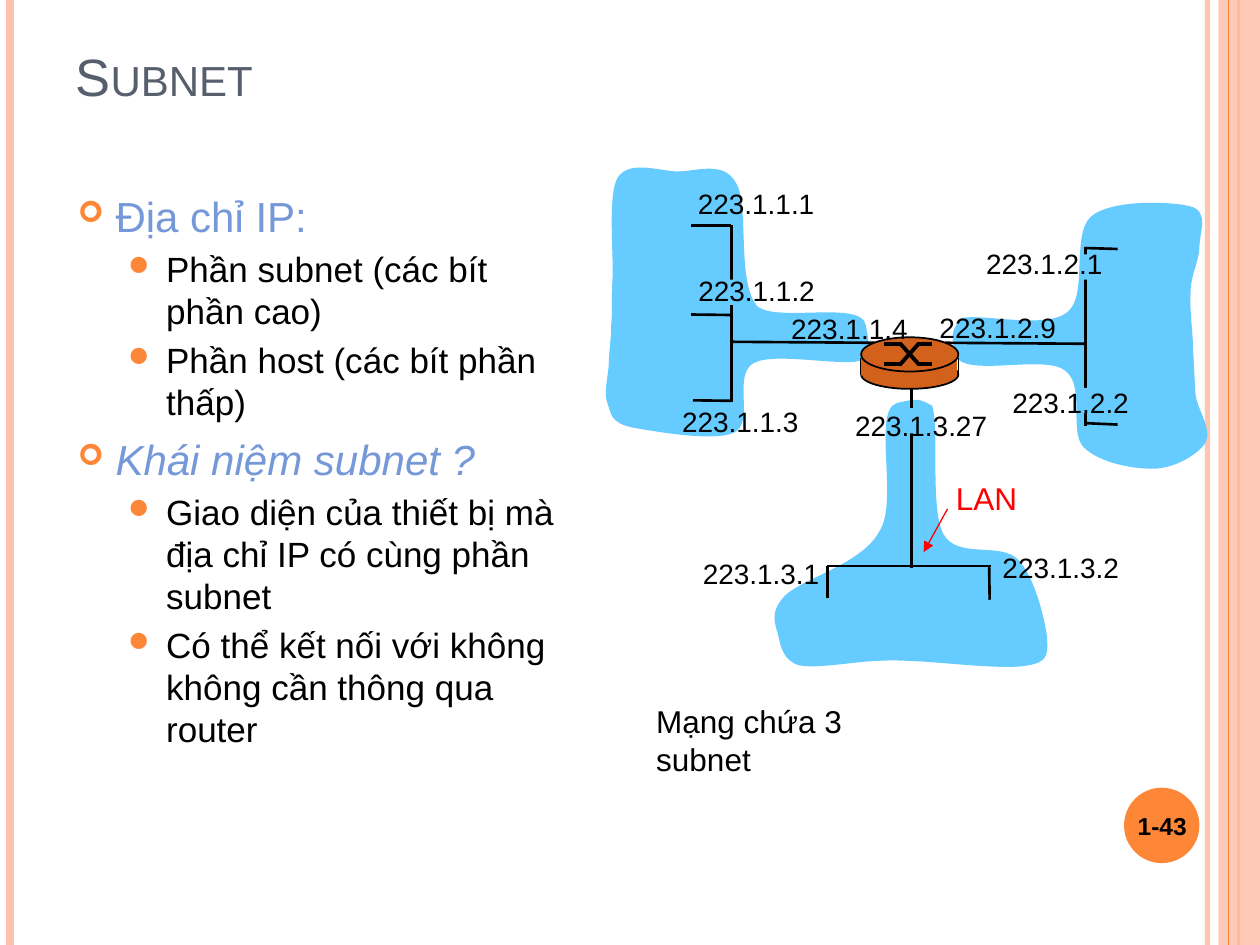
from pptx import Presentation, util as u
from pptx.dml.color import RGBColor
from pptx.enum import shapes as sh, text as tx
from pptx.oxml.ns import qn
from lxml import etree

BLACK = RGBColor(0, 0, 0)
WHITE = RGBColor(0xFF, 0xFF, 0xFF)
RED = RGBColor(0xFF, 0, 0)
SLATE = RGBColor(0x57, 0x5F, 0x6D)
BLUE = RGBColor(0x75, 0x98, 0xD9)
SKY = RGBColor(0x66, 0xCC, 0xFF)
PEACH = RGBColor(0xFE, 0xC2, 0xAC)
ORANGE = RGBColor(0xFE, 0x86, 0x37)
RUST = RGBColor(0xD2, 0x61, 0x1C)
RECT, OVAL = sh.MSO_SHAPE.RECTANGLE, sh.MSO_SHAPE.OVAL
UNIT = u.Cm(2.54) / 100
RING = ("Wingdings", chr(0xF0A2), 70)
DISC = ("Wingdings 2", chr(0xF097), 80)

WEST = [(208, 131), (205, 111, 138, 129, 122, 116), (105, 97, 116, 36, 105, 18),
        (95, 0, 74, 9, 58, 9), (42, 8, 20, 0, 11, 14), (3, 28, 8, 75, 7, 94),
        (6, 114, 7, 119, 6, 130), (6, 142, 4, 153, 4, 163), (3, 174, 0, 185, 3, 193),
        (6, 201, 5, 208, 22, 212), (39, 215, 88, 224, 104, 216),
        (120, 207, 102, 171, 119, 161), (136, 152, 189, 164, 204, 159),
        (210, 150, 212, 151, 208, 131)]
EAST = [(4, 123), (9, 143, 74, 123, 91, 136), (108, 148, 94, 184, 106, 197),
        (119, 210, 148, 215, 164, 214), (180, 213, 198, 202, 203, 193),
        (208, 183, 197, 168, 195, 156), (194, 144, 194, 134, 193, 121),
        (193, 107, 190, 87, 191, 74), (191, 60, 198, 49, 198, 38),
        (198, 27, 206, 10, 191, 6), (177, 2, 128, 0, 112, 14),
        (96, 28, 110, 77, 93, 90), (76, 104, 22, 90, 8, 95), (3, 105, 0, 103, 4, 123)]
SOUTH = [(102, 5), (82, 11, 104, 83, 88, 107), (74, 133, 27, 144, 13, 158),
         (0, 172, 6, 181, 8, 190), (10, 199, 12, 209, 24, 213),
         (36, 216, 64, 211, 80, 210), (96, 209, 99, 209, 120, 210),
         (141, 211, 190, 217, 207, 213), (223, 210, 222, 203, 221, 189),
         (219, 175, 211, 142, 198, 129), (184, 115, 150, 129, 139, 109),
         (128, 89, 136, 25, 130, 7), (121, 3, 122, 0, 102, 5)]


def write(para, words, size=16, color=BLACK, bold=False, slant=False, caps=False):
    run = para.add_run()
    run.text = words
    font = run.font
    font.name, font.size, font.bold, font.italic = "Arial", u.Pt(size), bold, slant
    font.color.rgb = color
    if caps:
        font._element.set("cap", "small")


def label(parts, words, x, y, w=2.87, h=0.94, wrap=False, **form):
    box = parts.add_textbox(u.Cm(x), u.Cm(y), u.Cm(w), u.Cm(h))
    box.text_frame.word_wrap = wrap
    write(box.text_frame.paragraphs[0], words, **form)
    return box.text_frame


def fade(node, part):
    color = next(node.iter(qn("a:srgbClr")))
    etree.SubElement(color, qn("a:alpha")).set("val", str(part * 1000))


def wire(parts, x1, y1, x2, y2, color=BLACK, width=1.5, arrow=False):
    line = parts.add_connector(sh.MSO_CONNECTOR.STRAIGHT,
                               u.Cm(x1), u.Cm(y1), u.Cm(x2), u.Cm(y2))
    line.line.color.rgb, line.line.width = color, u.Pt(width)
    props = line._element.spPr
    if arrow:
        etree.SubElement(props.find(qn("a:ln")), qn("a:tailEnd")).set("type", "triangle")
    etree.SubElement(props, qn("a:effectLst"))
    return line


def paint(shape, fill, edge=None):
    shape.shadow.inherit = False
    shape.fill.solid()
    shape.fill.fore_color.rgb = fill
    if edge is None:
        shape.line.fill.background()
    else:
        shape.line.color.rgb, shape.line.width = edge, u.Pt(1)
    return shape


def block(parts, kind, x, y, w, h, fill, edge=None):
    shape = parts.add_shape(kind, u.Cm(x), u.Cm(y), u.Cm(w), u.Cm(h))
    return paint(shape, fill, edge)


def blob(parts, x, y, curve):
    dots = [arc[i:i + 2] for arc in curve[1:] for i in (0, 2, 4)]
    form = parts.build_freeform(*curve[0], scale=UNIT)
    form.add_line_segments(dots, close=True)
    shape = paint(form.convert_to_shape(u.Cm(x), u.Cm(y)), SKY)
    legs = list(shape._element.iter(qn("a:lnTo")))
    for i in range(0, len(dots), 3):
        bend = etree.Element(qn("a:cubicBezTo"))
        legs[i].addprevious(bend)
        for leg in legs[i:i + 3]:
            bend.append(leg[0])
            leg.getparent().remove(leg)


def net(parts, x, y, curve, wires, masks, names):
    blob(parts, x, y, curve)
    for x1, y1, x2, y2 in wires:
        wire(parts, x + x1, y + y1, x + x2, y + y2)
    for dx, dy, w, fill in masks:
        block(parts, RECT, x + dx, y + dy, w, 0.51, fill)
    for words, dx, dy in names:
        label(parts, words, x + dx, y + dy)


def router(parts, x, y):
    group = parts.add_group_shape().shapes
    block(group, OVAL, x, y + 0.46, 1.96, 0.58, RUST, BLACK)
    for side in (x, x + 1.96):
        wire(group, side, y + 0.41, side, y + 0.76, width=1)
    block(group, RECT, x, y + 0.41, 1.93, 0.36, RUST)
    block(group, OVAL, x, y, 1.96, 0.69, RUST, BLACK)
    for near, far in ((0.14, 0.53), (0.53, 0.14)):
        for x1, y1, x2, y2 in ((0.47, near, 0.82, near), (0.8, near, 1.15, far),
                               (1.13, far, 1.43, far)):
            wire(group, x + x1, y + y1, x + x2, y + y2, width=2.25)
    label(parts, "223.1.1.4", x - 1.66, y - 0.65)
    label(parts, "223.1.3.27", x - 0.37, y + 1.32, w=3.18)


def rails(parts, high):
    fade(wire(parts, 24.34, 0, 24.34, high, PEACH, 3)._element, 93)
    wire(parts, 0.21, 0, 0.21, high, PEACH, 4.5)
    wire(parts, 24.97, 0, 24.97, high, ORANGE, 1.5)
    fade(block(parts, RECT, 24.56, 0, 0.84, high, PEACH)._element, 87)
    wire(parts, 24.77, 0, 24.77, high, ORANGE, 0.75)


def badge(parts, x, y):
    block(parts, OVAL, x, y, 1.52, 1.52, ORANGE)
    frame = label(parts, "1-43", x - 0.08, y + 0.05, w=1.7, h=1.45, size=14, bold=True)
    frame.vertical_anchor = tx.MSO_ANCHOR.MIDDLE
    frame.paragraphs[0].alignment = tx.PP_ALIGN.CENTER


def head(title, x, y, w, h):
    title.left, title.top, title.width, title.height = map(u.Cm, (x, y, w, h))
    frame = title.text_frame
    frame.vertical_anchor = tx.MSO_ANCHOR.TOP
    frame.paragraphs[0].alignment = tx.PP_ALIGN.LEFT
    write(frame.paragraphs[0], "Subnet", size=30, color=SLATE, caps=True)


def bullet(para, mark, left):
    face, sign, scale = mark
    props = para._p.get_or_add_pPr()
    props.set("marL", str(u.Cm(left)))
    props.set("indent", str(-u.Cm(0.76)))
    tint = etree.SubElement(props, qn("a:buClr"))
    etree.SubElement(tint, qn("a:srgbClr")).set("val", str(ORANGE))
    etree.SubElement(props, qn("a:buSzPct")).set("val", str(scale * 1000))
    font = etree.SubElement(props, qn("a:buFont"))
    font.set("typeface", face)
    font.set("charset", "2")
    etree.SubElement(props, qn("a:buChar")).set("char", sign)


def points(parts, x, y, w, h):
    frame = parts.add_textbox(u.Cm(x), u.Cm(y), u.Cm(w), u.Cm(h)).text_frame
    frame.word_wrap = True
    rows = [(0, "Địa chỉ IP:"), (1, "Phần subnet (các bít phần cao)"),
            (1, "Phần host (các bít phần thấp)"), (0, "Khái niệm subnet ?"),
            (1, "Giao diện của thiết bị mà địa chỉ IP có cùng phần subnet"),
            (1, "Có thể kết nối với không không cần thông qua router")]
    for i, (level, words) in enumerate(rows):
        para = frame.add_paragraph() if i else frame.paragraphs[0]
        para.level = level
        if i:
            para.space_before = u.Pt(4 if level else 6)
        if level:
            bullet(para, DISC, 1.78)
            write(para, words, size=20)
        else:
            bullet(para, RING, 0.76)
            write(para, words, size=24, color=BLUE, slant=i > 0)


def main():
    deck = Presentation()
    deck.slide_width, deck.slide_height = u.Cm(25.4), u.Cm(19.05)
    slide = deck.slides.add_slide(deck.slide_layouts[5])
    parts = slide.shapes
    rails(parts, 19.05)
    badge(parts, 22.66, 15.88)
    head(parts.title, 1.27, 0.76, 20.75, 3.18)
    points(parts, 1.32, 3.71, 10.26, 12.9)
    net(parts, 12.17, 3.23, WEST,
        [(1.76, 1.32, 2.57, 1.32), (2.57, 1.3, 2.57, 4.88), (1.76, 3.11, 2.56, 3.12),
         (1.8, 4.84, 2.57, 4.85), (2.57, 3.66, 5.46, 3.68)],
        [(1.9, 2.41, 0.86, SKY)],
        [("223.1.1.1", 1.65, 0.41), ("223.1.1.2", 1.66, 2.16), ("223.1.1.3", 1.33, 4.8)])
    net(parts, 19.15, 4.01, EAST,
        [(-0.1, 2.9, 2.73, 2.92), (2.73, 0.97, 2.73, 4.57), (2.73, 0.99, 3.38, 1.01),
         (2.73, 4.52, 3.38, 4.55)],
        [(2.59, 3.81, 0.48, SKY), (2.62, 1.12, 0.69, SKY)],
        [("223.1.2.9", -0.46, 2.13), ("223.1.2.2", 1.01, 3.63), ("223.1.2.1", 0.48, 0.84)])
    net(parts, 15.49, 8, SOUTH,
        [(2.88, -0.15, 2.88, 3.45), (4.48, 3.41, 1.19, 3.41), (1.19, 4.06, 1.19, 3.41),
         (4.46, 4.09, 4.45, 3.41)],
        [(2.72, 0.23, 0.36, SKY), (-2.03, 2.64, 2.36, WHITE)],
        [("223.1.3.2", 4.47, 2.97), ("223.1.3.1", -1.57, 3.09)])
    router(parts, 17.36, 6.8)
    label(parts, "Mạng chứa 3 subnet", 12.98, 14.03, w=6.2, h=1.02, wrap=True, size=18)
    label(parts, "LAN", 19.02, 9.54, w=1.75, h=1.02, size=18, color=RED)
    wire(parts, 19.1, 10.26, 18.62, 11.13, RED, 0.75, arrow=True)
    deck.save("out.pptx")


if __name__ == "__main__":
    main()
